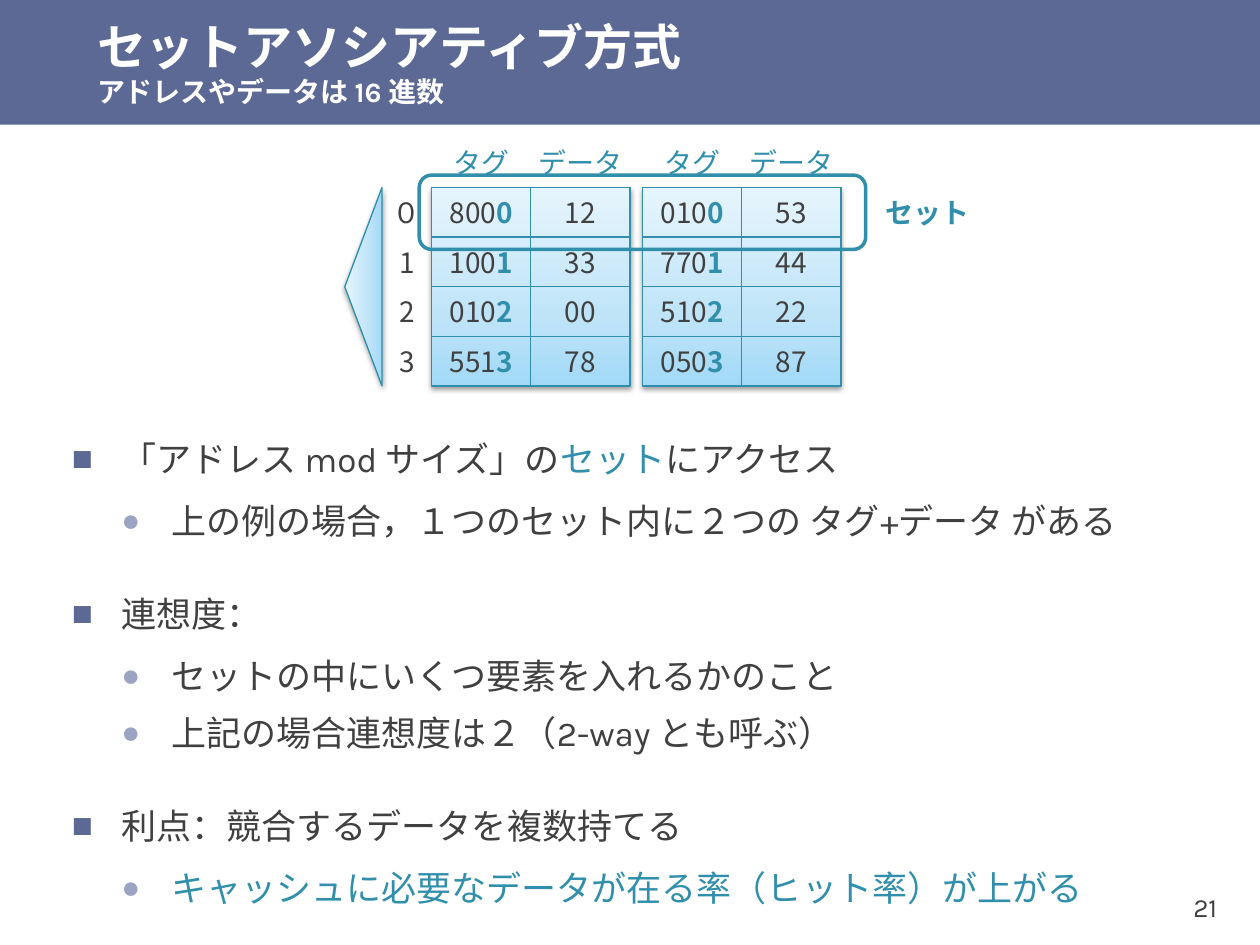
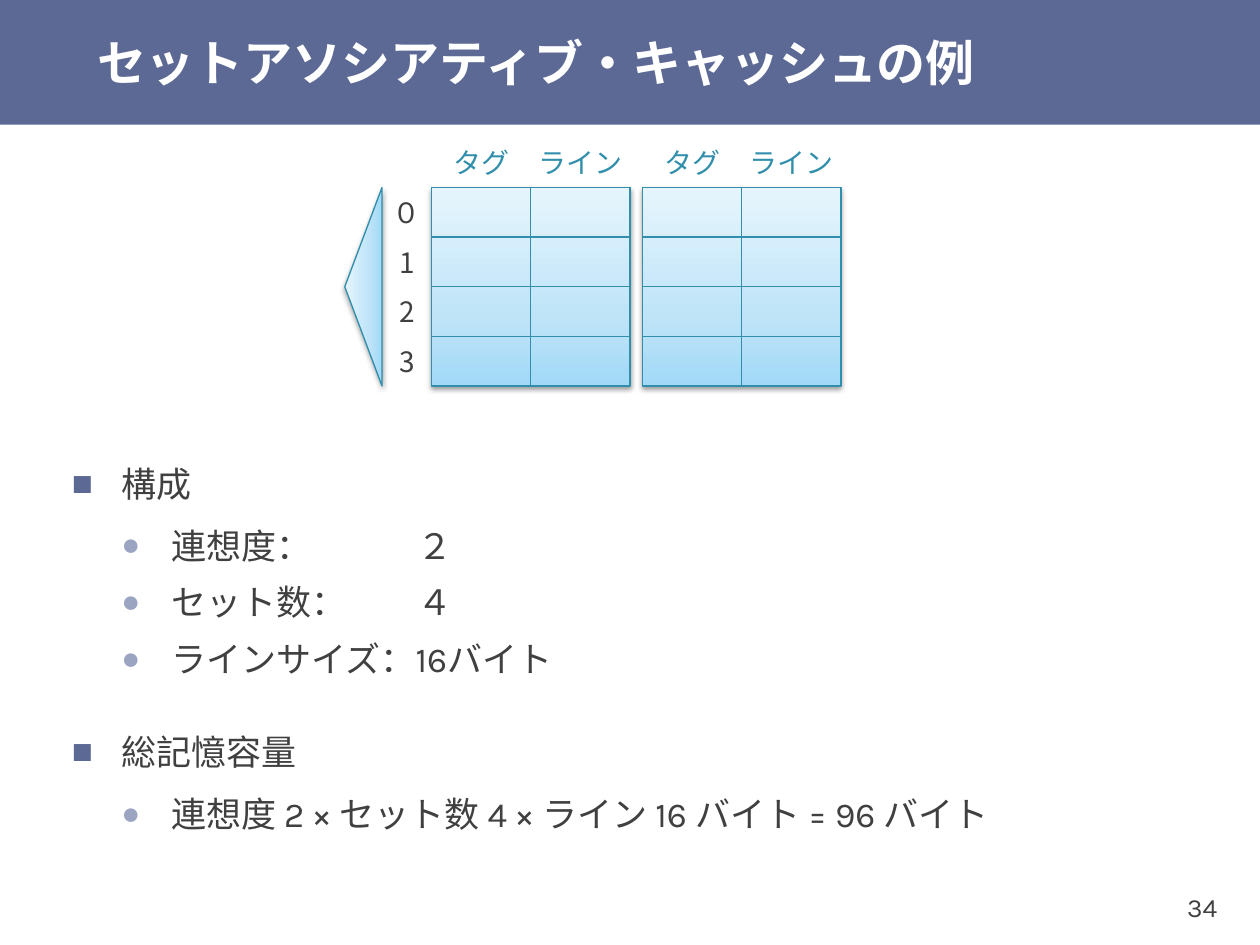
from lxml import etree
from pptx import Presentation
from pptx import util as u
from pptx.dml import color as dml
from pptx.enum import shapes, text
from pptx.oxml import ns

UNIT = 28.35
CELL = 2 * UNIT
BAND_HEIGHT = 71.28
GRID_BOX = (246.65, 107.15, 4 * UNIT, 4 * UNIT)
WAY_STEP = 4.25 * UNIT
LATIN, JAPANESE = "Karla", "Noto Sans CJK JP"
BAND, INK, ACCENT, EDGE, WHITE = "5C6994", "404040", "328FAC", "2E8DAB", "FFFFFF"
GRADIENT = ((0, "A2D9F7"), (35, "BFE4F8"), (100, "E6F5FD"))
LEVELS = (
    dict(bullet="■", color=BAND, size=100, before=24, after=6),
    dict(bullet="●", color="9BA4C1", size=90, before=3, after=3),
)
VALUE_TAB = 197.3


def rgb(value):
    return dml.RGBColor.from_string(value)


def apply(target, values):
    for name, value in values.items():
        setattr(target, name, value)


def child(parent, tag, **attributes):
    element = etree.SubElement(parent, ns.qn(tag))
    for name, value in attributes.items():
        element.set(name, str(value))
    return element


def place(shape, left, top, width, height):
    apply(shape, dict(left=u.Pt(left), top=u.Pt(top),
                      width=u.Pt(width), height=u.Pt(height)))


def add_run(paragraph, words, size, color=INK, font=LATIN, bold=False):
    run = paragraph.add_run()
    run.text = words
    apply(run.font, dict(size=u.Pt(size), name=font, bold=bold))
    run.font.color.rgb = rgb(color)
    child(run.font._element, "a:ea", typeface=JAPANESE)


def set_frame(frame, wrap, margins=(7.2, 3.6)):
    across, down = u.Pt(margins[0]), u.Pt(margins[1])
    apply(frame, dict(word_wrap=wrap, auto_size=text.MSO_AUTO_SIZE.NONE,
                      vertical_anchor=text.MSO_ANCHOR.MIDDLE,
                      margin_left=across, margin_right=across,
                      margin_top=down, margin_bottom=down))


def add_outline(slide, kind, box, color=ACCENT, weight=0.75):
    shape = slide.shapes.add_shape(kind, *map(u.Pt, box))
    shape.shadow.inherit = False
    shape.fill.background()
    shape.line.color.rgb = rgb(color)
    shape.line.width = u.Pt(weight)
    return shape


def add_glossy(slide, kind, box):
    shape = add_outline(slide, kind, box, EDGE)
    shape.fill.gradient()
    properties = shape._element.spPr
    gradient = properties.find(ns.qn("a:gradFill"))
    for part in list(gradient):
        gradient.remove(part)
    gradient.set("rotWithShape", "1")
    stops = child(gradient, "a:gsLst")
    for position, color in GRADIENT:
        stop = child(stops, "a:gs", pos=position * 1000)
        child(stop, "a:srgbClr", val=color)
    child(gradient, "a:lin", ang=270 * 60000, scaled=0)
    shadow = child(properties.find(ns.qn("a:effectLst")), "a:outerShdw",
                   blurRad=u.Pt(3.1), dist=u.Pt(1.6), dir=90 * 60000,
                   algn="ctr", rotWithShape=0)
    child(child(shadow, "a:srgbClr", val="000000"), "a:alpha", val=38000)
    return shape


def write_centred(shape, *runs):
    set_frame(shape.text_frame, False)
    paragraph = shape.text_frame.paragraphs[0]
    paragraph.alignment = text.PP_ALIGN.CENTER
    for words, values in runs:
        add_run(paragraph, words, 16, font=JAPANESE, **values)


def add_label(slide, box, words, **values):
    write_centred(slide.shapes.add_textbox(*map(u.Pt, box)), (words, values))


def add_band(slide, layout):
    band = slide.shapes.add_shape(shapes.MSO_SHAPE.RECTANGLE, 0, 0,
                                  u.Pt(720), u.Pt(BAND_HEIGHT))
    band.shadow.inherit = False
    band.fill.solid()
    band.fill.fore_color.rgb = rgb(BAND)
    band.line.fill.background()
    layout.shapes._spTree.insert(2, band._element)


def fill_title(slide, heading, subtitle=None):
    title = slide.shapes.title
    place(title, 48.24, 0, 671.76, BAND_HEIGHT)
    set_frame(title.text_frame, True, (7.2, 0))
    paragraph = title.text_frame.paragraphs[0]
    paragraph.alignment = text.PP_ALIGN.LEFT
    add_run(paragraph, heading, 28, WHITE, bold=True)
    if subtitle:
        paragraph.add_line_break()
        add_run(paragraph, subtitle, 16, WHITE, bold=True)


def fill_body(slide, box, items):
    body = slide.placeholders[1]
    place(body, *box)
    frame = body.text_frame
    set_frame(frame, True)
    for index, (level, *runs) in enumerate(items):
        paragraph = frame.paragraphs[0] if index == 0 else frame.add_paragraph()
        style = LEVELS[level]
        properties = paragraph._p.get_or_add_pPr()
        properties.set("marL", str(u.Pt((level + 1) * UNIT)))
        properties.set("indent", str(u.Pt(-UNIT)))
        child(child(properties, "a:buClr"), "a:srgbClr", val=style["color"])
        child(properties, "a:buSzPct", val=style["size"] * 1000)
        child(properties, "a:buChar", char=style["bullet"])
        if any("\t" in words for words, color in runs):
            child(child(properties, "a:tabLst"), "a:tab",
                  pos=u.Pt(VALUE_TAB), algn="l")
        apply(paragraph, dict(level=level, line_spacing=1.1,
                              alignment=text.PP_ALIGN.LEFT,
                              space_before=u.Pt(style["before"] if index else 0),
                              space_after=u.Pt(style["after"])))
        for words, color in runs:
            add_run(paragraph, words, 20, color)


def add_page_number(slide, number):
    box = slide.shapes.add_textbox(*map(u.Pt, (643.68, 496.8, 56.88, 43.2)))
    set_frame(box.text_frame, False, (5.04, 2.88))
    paragraph = box.text_frame.paragraphs[0]
    paragraph.alignment = text.PP_ALIGN.RIGHT
    add_run(paragraph, str(number), 15)


def add_way(slide, box, headers, rows):
    left, top = box[:2]
    add_glossy(slide, shapes.MSO_SHAPE.RECTANGLE, box)
    for column, header in enumerate(headers):
        x = left + column * CELL
        add_label(slide, (x, top - UNIT, CELL, UNIT), header, color=ACCENT)
        for row in range(4):
            cell = add_outline(slide, shapes.MSO_SHAPE.RECTANGLE,
                               (x, top + row * UNIT, CELL, UNIT))
            if not rows:
                continue
            value = rows[row][column]
            if column == 0:
                write_centred(cell, (value[:-1], {}),
                              (value[-1], dict(color=ACCENT, bold=True)))
            else:
                write_centred(cell, (value, {}))


def add_cache(slide, box, headers, ways):
    left, top, width, height = box
    for index, rows in enumerate(ways):
        add_way(slide, (left + index * WAY_STEP, top, width, height), headers, rows)
    for row, digit in enumerate("０123"):
        add_label(slide, (left - UNIT, top + row * UNIT, UNIT, UNIT), digit)
    depth = 0.75 * UNIT
    centre = left - UNIT - depth / 2
    decoder = add_glossy(slide, shapes.MSO_SHAPE.ISOSCELES_TRIANGLE,
                         (centre - height / 2, top + (height - depth) / 2, height, depth))
    decoder.rotation = 270


def add_set_marker(slide, box):
    left, top = box[:2]
    margin = UNIT / 4
    add_outline(slide, shapes.MSO_SHAPE.ROUNDED_RECTANGLE,
                (left - margin, top - margin, 9 * UNIT, UNIT + 2 * margin), weight=2)
    add_label(slide, (left + 9 * UNIT, top, CELL, UNIT), "セット",
              color=ACCENT, bold=True)


def build_method(slide):
    fill_title(slide, "セットアソシアティブ方式", "アドレスやデータは 16 進数")
    fill_body(slide, (33.84, 270, 666, 226.8), (
        (0, ("「アドレス mod サイズ」の", INK), ("セット", ACCENT), ("にアクセス", INK)),
        (1, ("上の例の場合，１つのセット内に２つの タグ+データ がある", INK)),
        (0, ("連想度：", INK)),
        (1, ("セットの中にいくつ要素を入れるかのこと", INK)),
        (1, ("上記の場合連想度は２（2-way とも呼ぶ）", INK)),
        (0, ("利点：競合するデータを複数持てる", INK)),
        (1, ("キャッシュに必要なデータが在る率（ヒット率）が上がる", ACCENT)),
    ))
    add_cache(slide, GRID_BOX, ("タグ", "データ"), (
        (("8000", "12"), ("1001", "33"), ("0102", "00"), ("5513", "78")),
        (("0100", "53"), ("7701", "44"), ("5102", "22"), ("0503", "87")),
    ))
    add_set_marker(slide, GRID_BOX)
    add_page_number(slide, 21)


def build_example(slide):
    fill_title(slide, "セットアソシアティブ・キャッシュの例")
    fill_body(slide, (33.84, 241.92, 637.92, 254.88), (
        (0, ("構成", INK)),
        (1, ("連想度：\t２", INK)),
        (1, ("セット数：\t４", INK)),
        (1, ("ラインサイズ：16バイト", INK)),
        (0, ("総記憶容量", INK)),
        (1, ("連想度 2 × セット数 4 × ライン 16 バイト = 96 バイト", INK)),
    ))
    add_cache(slide, GRID_BOX, ("タグ", "ライン"), ((), ()))
    add_page_number(slide, 34)


def main():
    presentation = Presentation()
    apply(presentation, dict(slide_width=u.Pt(720), slide_height=u.Pt(540)))
    layout = presentation.slide_layouts[1]
    method, example = (presentation.slides.add_slide(layout) for _ in range(2))
    add_band(method, layout)
    build_method(method)
    build_example(example)
    presentation.save("out.pptx")


if __name__ == "__main__":
    main()
